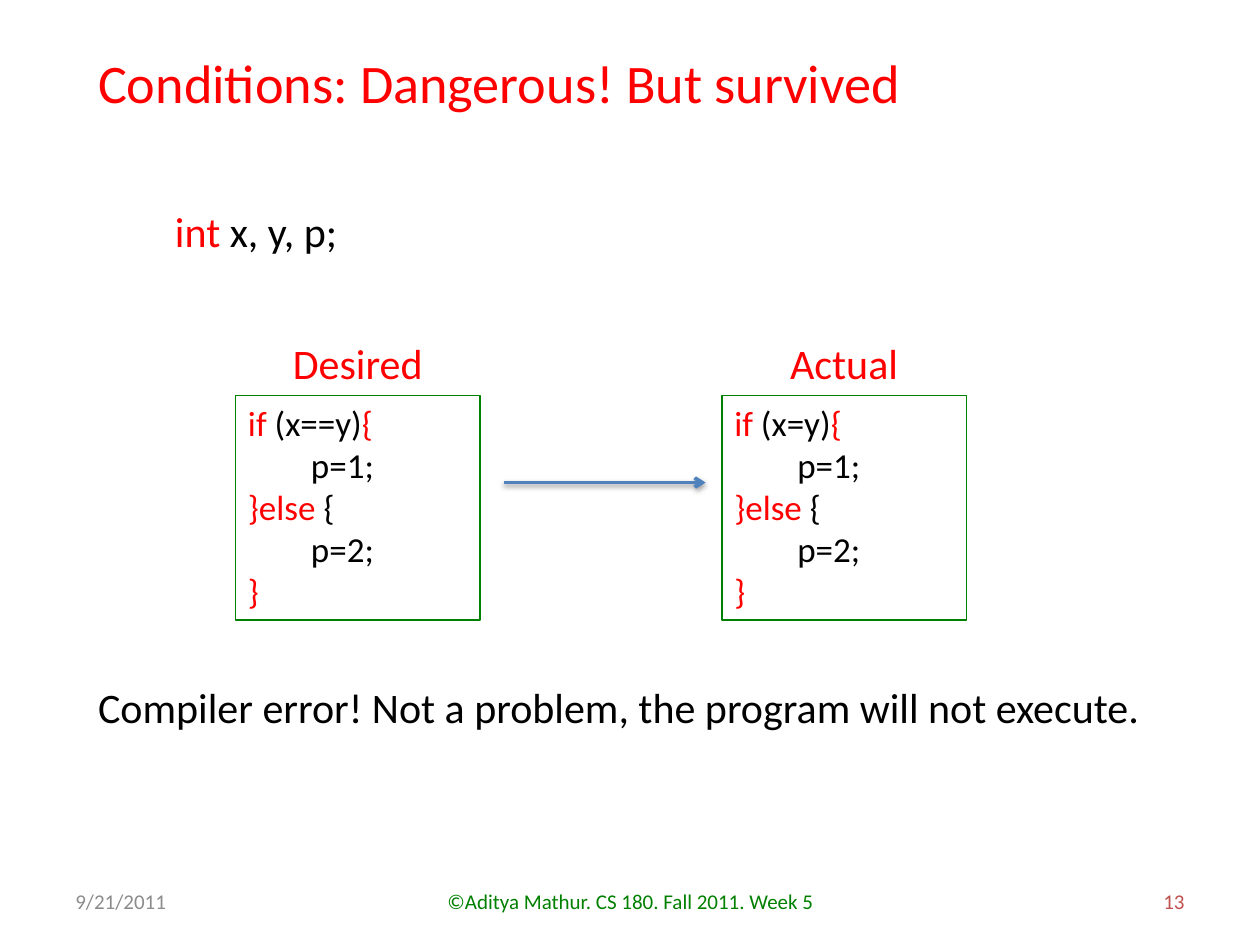
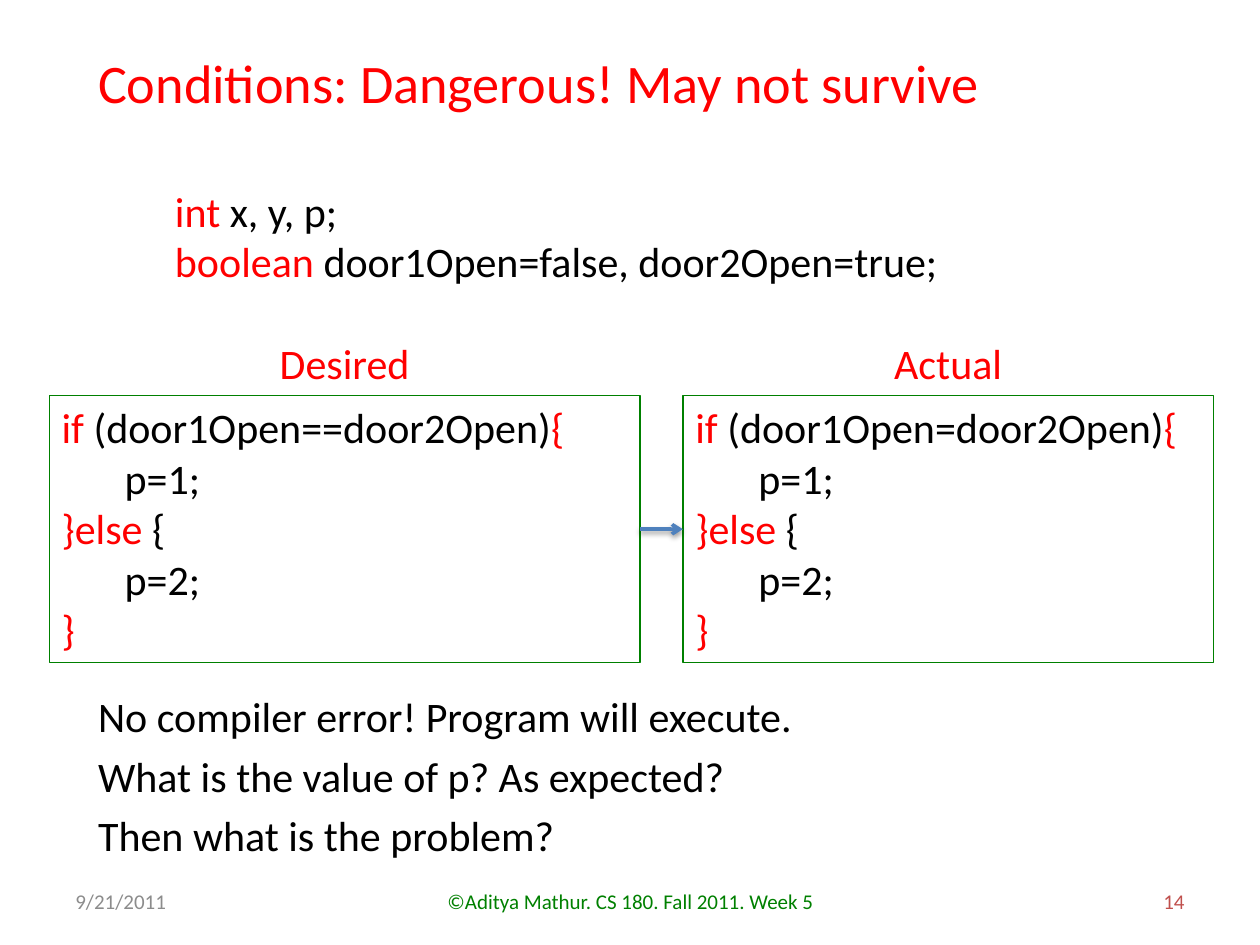
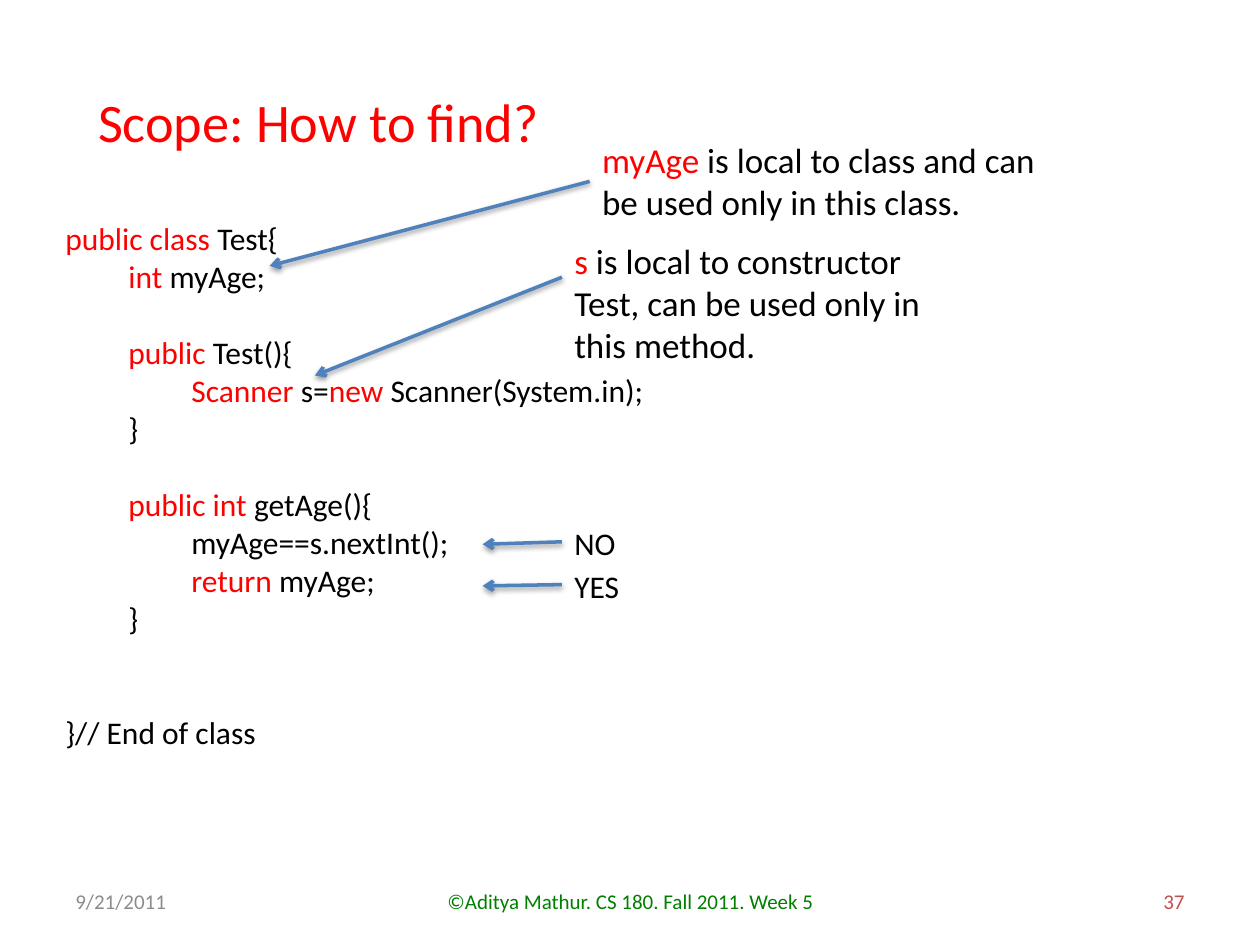
from dataclasses import dataclass
from typing import NamedTuple

from pptx import Presentation
from pptx.dml.color import RGBColor
from pptx.enum.shapes import MSO_CONNECTOR, MSO_SHAPE
from pptx.enum.text import MSO_ANCHOR, MSO_AUTO_SIZE, PP_ALIGN
from pptx.oxml import parse_xml
from pptx.oxml.ns import nsdecls, qn
from pptx.presentation import Presentation as PresentationType
from pptx.slide import Slide
from pptx.util import Inches, Pt

FONT = "Calibri"
COLORS = {
    "keyword": "FF0000",
    "text": "000000",
    "outline": "008000",
    "arrow": "4F81BD",
    "date": "8C8C8C",
    "number": "C0504D",
}
KEYWORD_MARK = "|"
INDENT = 0.5
CODE_LINE_POINTS = 22
CODE_TOP = 3.14
LABEL_TOP = 2.63


class Box(NamedTuple):
    left: float
    top: float
    width: float
    height: float


class Arrow(NamedTuple):
    start_x: float
    start_y: float
    end_x: float
    end_y: float


class Footer(NamedTuple):
    text: str
    box: Box
    color: str
    align: PP_ALIGN


@dataclass(frozen=True)
class Line:
    text: str
    depth: int = 0
    blank_lines_before: int = 0


@dataclass(frozen=True)
class CodePanel:
    label: str
    condition: str
    left: float
    width: float


def rgb(name: str) -> RGBColor:
    return RGBColor.from_string(COLORS[name])


def write_text(
    slide: Slide,
    box: Box,
    *lines: Line | str,
    size: float = 24,
    color: str = "text",
    align: PP_ALIGN = PP_ALIGN.LEFT,
    anchor: MSO_ANCHOR = MSO_ANCHOR.TOP,
    wrap: bool = True,
    line_points: float | None = None,
    outline: str | None = None,
) -> None:
    position = [Inches(length) for length in box]
    if outline:
        shape = slide.shapes.add_shape(MSO_SHAPE.RECTANGLE, *position)
        shape.shadow.inherit = False
        shape.fill.background()
        shape.line.color.rgb = rgb(outline)
        shape.line.width = Pt(0.75)
    else:
        shape = slide.shapes.add_textbox(*position)
    frame = shape.text_frame
    frame.word_wrap = wrap
    frame.vertical_anchor = anchor
    if anchor == MSO_ANCHOR.TOP:
        frame.auto_size = MSO_AUTO_SIZE.SHAPE_TO_FIT_TEXT
    for index, entry in enumerate(lines):
        line = Line(entry) if isinstance(entry, str) else entry
        paragraph = frame.paragraphs[0] if index == 0 else frame.add_paragraph()
        paragraph.alignment = align
        if line_points:
            paragraph.line_spacing = Pt(line_points)
        if line.blank_lines_before:
            paragraph.space_before = Pt(CODE_LINE_POINTS * line.blank_lines_before)
        if line.depth:
            properties = paragraph._p.get_or_add_pPr()
            properties.set("marL", str(Inches(INDENT * line.depth)))
            properties.set("indent", "0")
        for part, text in enumerate(line.text.split(KEYWORD_MARK)):
            if text:
                run = paragraph.add_run()
                run.text = text
                run.font.name = FONT
                run.font.size = Pt(size)
                run.font.color.rgb = rgb("keyword" if part % 2 else color)


def draw_arrow(slide: Slide, arrow: Arrow) -> None:
    connector = slide.shapes.add_connector(
        MSO_CONNECTOR.STRAIGHT, *(Inches(length) for length in arrow)
    )
    connector.line.color.rgb = rgb("arrow")
    connector.line.width = Pt(2)
    properties = connector._element.spPr
    properties.find(qn("a:ln")).append(
        parse_xml(f'<a:tailEnd {nsdecls("a")} type="arrow"/>')
    )
    properties.append(
        parse_xml(
            f'<a:effectLst {nsdecls("a")}>'
            f'<a:outerShdw blurRad="{Pt(3.1)}" dist="{Pt(1.6)}" dir="5400000" rotWithShape="0">'
            '<a:srgbClr val="000000"><a:alpha val="38000"/></a:srgbClr>'
            "</a:outerShdw></a:effectLst>"
        )
    )


def add_course_slide(
    presentation: PresentationType, title: str, number: int, title_top: float = 0.34
) -> Slide:
    slide = presentation.slides.add_slide(presentation.slide_layouts[6])
    write_text(slide, Box(0.68, title_top, 8.95, 0.62), title, size=31, color="keyword")
    footers = [
        Footer("9/21/2011", Box(0.5, 6.95, 2.33, 0.4), "date", PP_ALIGN.LEFT),
        Footer(
            "©Aditya Mathur. CS 180. Fall 2011. Week 5",
            Box(3.42, 6.95, 3.17, 0.4),
            "outline",
            PP_ALIGN.CENTER,
        ),
        Footer(str(number), Box(7.17, 6.95, 2.33, 0.4), "number", PP_ALIGN.RIGHT),
    ]
    for footer in footers:
        write_text(
            slide,
            footer.box,
            footer.text,
            size=12,
            color=footer.color,
            align=footer.align,
            anchor=MSO_ANCHOR.MIDDLE,
        )
    return slide


def draw_code_panel(slide: Slide, panel: CodePanel, size: float, height: float) -> None:
    write_text(
        slide,
        Box(panel.left, LABEL_TOP, panel.width, 0.5),
        panel.label,
        color="keyword",
        align=PP_ALIGN.CENTER,
    )
    write_text(
        slide,
        Box(panel.left, CODE_TOP, panel.width, height),
        f"|if| ({panel.condition})|{{|",
        Line("p=1;", depth=1),
        "|}else| {",
        Line("p=2;", depth=1),
        "|}|",
        size=size,
        outline="outline",
    )


def build_survived_slide(presentation: PresentationType) -> None:
    slide = add_course_slide(presentation, "Conditions: Dangerous! But survived", 13)
    write_text(slide, Box(1.29, 1.58, 4.31, 0.5), "|int |x, y, p;")
    for panel in (
        CodePanel("Desired", "x==y", 1.87, 1.94),
        CodePanel("Actual", "x=y", 5.73, 1.94),
    ):
        draw_code_panel(slide, panel, size=20, height=1.78)
    draw_arrow(slide, Arrow(4, 3.83, 5.6, 3.83))
    write_text(
        slide,
        Box(0.68, 5.36, 8.49, 0.5),
        "Compiler error! Not a problem, the program will not execute.",
    )


def build_may_not_survive_slide(presentation: PresentationType) -> None:
    slide = add_course_slide(presentation, "Conditions: Dangerous! May not survive", 14)
    write_text(
        slide,
        Box(1.29, 1.42, 6.52, 0.91),
        "|int |x, y, p;",
        "|boolean |door1Open=false, door2Open=true;",
    )
    desired = CodePanel("Desired", "door1Open==door2Open", 0.39, 4.69)
    actual = CodePanel("Actual", "door1Open=door2Open", 5.42, 4.21)
    height = 2.12
    for panel in (desired, actual):
        draw_code_panel(slide, panel, size=24, height=height)
    middle = CODE_TOP + height / 2
    draw_arrow(slide, Arrow(desired.left + desired.width, middle, actual.left, middle))
    write_text(
        slide,
        Box(0.68, 5.36, 8.49, 1.52),
        "No compiler error! Program will execute.",
        "What is the value of p? As expected?",
        "Then what is the problem?",
        line_points=34,
    )


def build_scope_slide(presentation: PresentationType) -> None:
    slide = add_course_slide(presentation, "Scope: How to find?", 37, title_top=0.65)
    write_text(
        slide,
        Box(0.42, 1.69, 4.95, 4.34),
        "|public class |Test{",
        Line("|int |myAge;", depth=1),
        Line("|public |Test(){", depth=1, blank_lines_before=1),
        Line("|Scanner |s=|new |Scanner(System.in);", depth=2),
        Line("}", depth=1),
        Line("|public int |getAge(){", depth=1, blank_lines_before=1),
        Line("myAge==s.nextInt();", depth=2),
        Line("|return |myAge;", depth=2),
        Line("}", depth=1),
        Line("}// End of class", blank_lines_before=2),
        size=18,
    )
    write_text(
        slide,
        Box(4.68, 1.05, 3.81, 0.77),
        "|myAge| is local to class and can be used only in this class.",
        size=20,
    )
    write_text(
        slide,
        Box(4.46, 1.85, 3.16, 1.11),
        "|s| is local to constructor Test, can be used only in this method.",
        size=20,
    )
    for answer, top, width in (("NO", 4.11, 0.53), ("YES", 4.45, 0.56)):
        write_text(slide, Box(4.46, top, width, 0.4), answer, size=18, wrap=False)
    for arrow in (
        Arrow(4.68, 1.44, 2.14, 2.11),
        Arrow(4.46, 2.2, 2.5, 2.98),
        Arrow(4.46, 4.3, 3.83, 4.32),
        Arrow(4.46, 4.64, 3.83, 4.65),
    ):
        draw_arrow(slide, arrow)


def main() -> None:
    presentation = Presentation()
    presentation.slide_width = Inches(10)
    presentation.slide_height = Inches(7.5)
    build_survived_slide(presentation)
    build_may_not_survive_slide(presentation)
    build_scope_slide(presentation)
    presentation.save("out.pptx")


if __name__ == "__main__":
    main()
